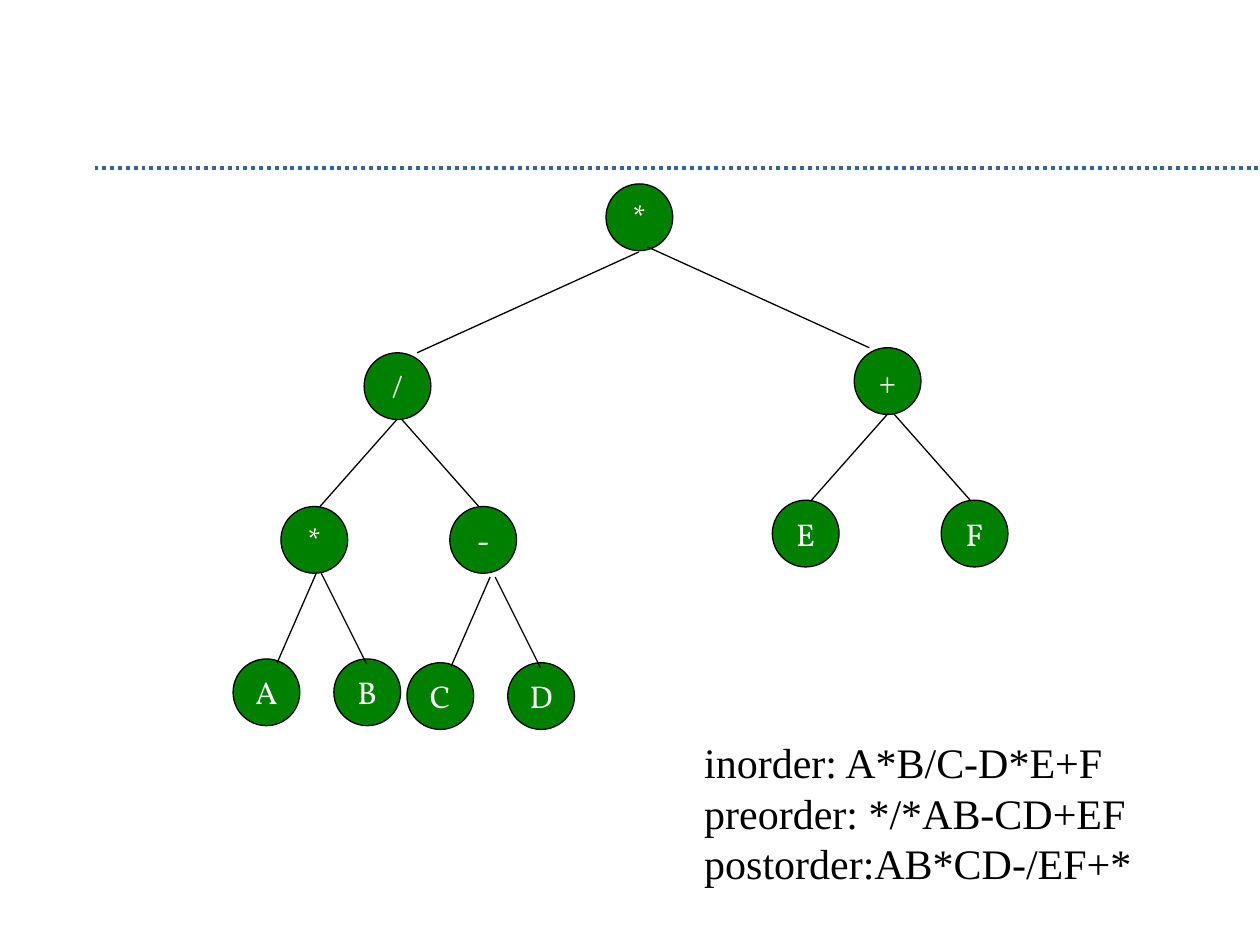
from pptx import Presentation
from pptx.dml.color import RGBColor
from pptx.enum.dml import MSO_LINE
from pptx.enum.shapes import MSO_CONNECTOR, MSO_SHAPE
from pptx.enum.text import MSO_ANCHOR, MSO_AUTO_SIZE, PP_ALIGN
from pptx.oxml.ns import qn
from pptx.util import Inches, Pt
from lxml import etree

STRAIGHT = MSO_CONNECTOR.STRAIGHT
OVAL = MSO_SHAPE.OVAL
DOTTED = MSO_LINE.ROUND_DOT
MIDDLE = MSO_ANCHOR.MIDDLE
CENTER = PP_ALIGN.CENTER
FIT_SHAPE = MSO_AUTO_SIZE.SHAPE_TO_FIT_TEXT

GREEN = RGBColor(0x00, 0x80, 0x00)
BLUE = RGBColor(0x33, 0x66, 0x99)
BLACK = RGBColor(0x00, 0x00, 0x00)
WHITE = RGBColor(0xFF, 0xFF, 0xFF)

NODE_SIZE = 0.53
WIDE_FORK = {
    "nodes": [(-0.92, 0.69), (0.42, 0.69)],
    "edges": [(0, 0, -0.61, 0.69), (0.04, 0, 0.65, 0.69)],
}
NARROW_FORK = {
    "nodes": [(-0.66, 0.68), (0.14, 0.68)],
    "edges": [(0, 0, -0.31, 0.71), (0.04, 0, 0.40, 0.72)],
}
ROOT_FORK = {
    "nodes": [(-2.18, 0.80), (1.71, 0.76)],
    "edges": [(0, 0, -1.76, 0.80), (0.07, -0.04, 1.83, 0.76)],
}
FORKS = [
    (5.07, 2.00, "/+", ROOT_FORK),
    (3.15, 3.33, "*-", WIDE_FORK),
    (7.05, 3.28, "EF", WIDE_FORK),
    (2.51, 4.55, "AB", NARROW_FORK),
    (3.89, 4.58, "CD", NARROW_FORK),
]
TRAVERSALS = [
    "inorder: A*B/C-D*E+F",
    "preorder: */*AB-CD+EF",
    "postorder:AB*CD-/EF+*",
]


def add_line(page, start_x, start_y, end_x, end_y, color=BLACK, width=0.75):
    """Draw a plain straight line and return it."""
    line = page.shapes.add_connector(
        STRAIGHT, Inches(start_x), Inches(start_y), Inches(end_x), Inches(end_y)
    )
    line.line.color.rgb = color
    line.line.width = Pt(width)
    etree.SubElement(line._element.spPr, qn("a:effectLst"))
    return line


def add_node(page, left, top, label):
    """Draw one labelled tree node."""
    node = page.shapes.add_shape(
        OVAL, Inches(left), Inches(top), Inches(NODE_SIZE), Inches(NODE_SIZE)
    )
    node.shadow.inherit = False
    node.fill.solid()
    node.fill.fore_color.rgb = GREEN
    node.line.color.rgb = BLACK
    node.line.width = Pt(0.75)
    frame = node.text_frame
    frame.word_wrap = False
    frame.vertical_anchor = MIDDLE
    frame.text = label
    para = frame.paragraphs[0]
    para.alignment = CENTER
    font = para.runs[0].font
    font.name = "Vollkorn"
    font.size = Pt(18)
    font.color.rgb = WHITE


def add_fork(page, left, top, labels, fork):
    """Draw two child nodes and their edges below the point left, top."""
    for label, (across, down) in zip(labels, fork["nodes"]):
        add_node(page, left + across, top + down, label)
    for start_x, start_y, end_x, end_y in fork["edges"]:
        add_line(page, left + start_x, top + start_y, left + end_x, top + end_y)


def add_tree(page, left, top):
    """Draw the expression tree with its root node at left, top."""
    add_node(page, left, top, "*")
    for apex_x, apex_y, labels, fork in FORKS:
        add_fork(page, left + apex_x - 4.81, top + apex_y - 1.46, labels, fork)


def add_traversals(page, left, top, width, height):
    """List the three traversal orders in the given box."""
    box = page.shapes.add_textbox(
        Inches(left), Inches(top), Inches(width), Inches(height)
    )
    frame = box.text_frame
    frame.word_wrap = False
    frame.auto_size = FIT_SHAPE
    frame.text = "\n".join(TRAVERSALS)
    for para in frame.paragraphs:
        para.line_spacing = Pt(28.8)
        font = para.runs[0].font
        font.name = "Times New Roman"
        font.size = Pt(24)
        font.color.rgb = BLACK


def main():
    """Build and save the slide."""
    deck = Presentation()
    deck.slide_width = Inches(10)
    deck.slide_height = Inches(7.5)
    page = deck.slides.add_slide(deck.slide_layouts[6])
    rule = add_line(page, 0.75, 1.33, 10, 1.33, BLUE, 2.25)
    rule.line.dash_style = DOTTED
    add_tree(page, 4.81, 1.46)
    add_traversals(page, 5.49, 5.8, 3.59, 1.3)
    deck.save("out.pptx")


if __name__ == "__main__":
    main()
